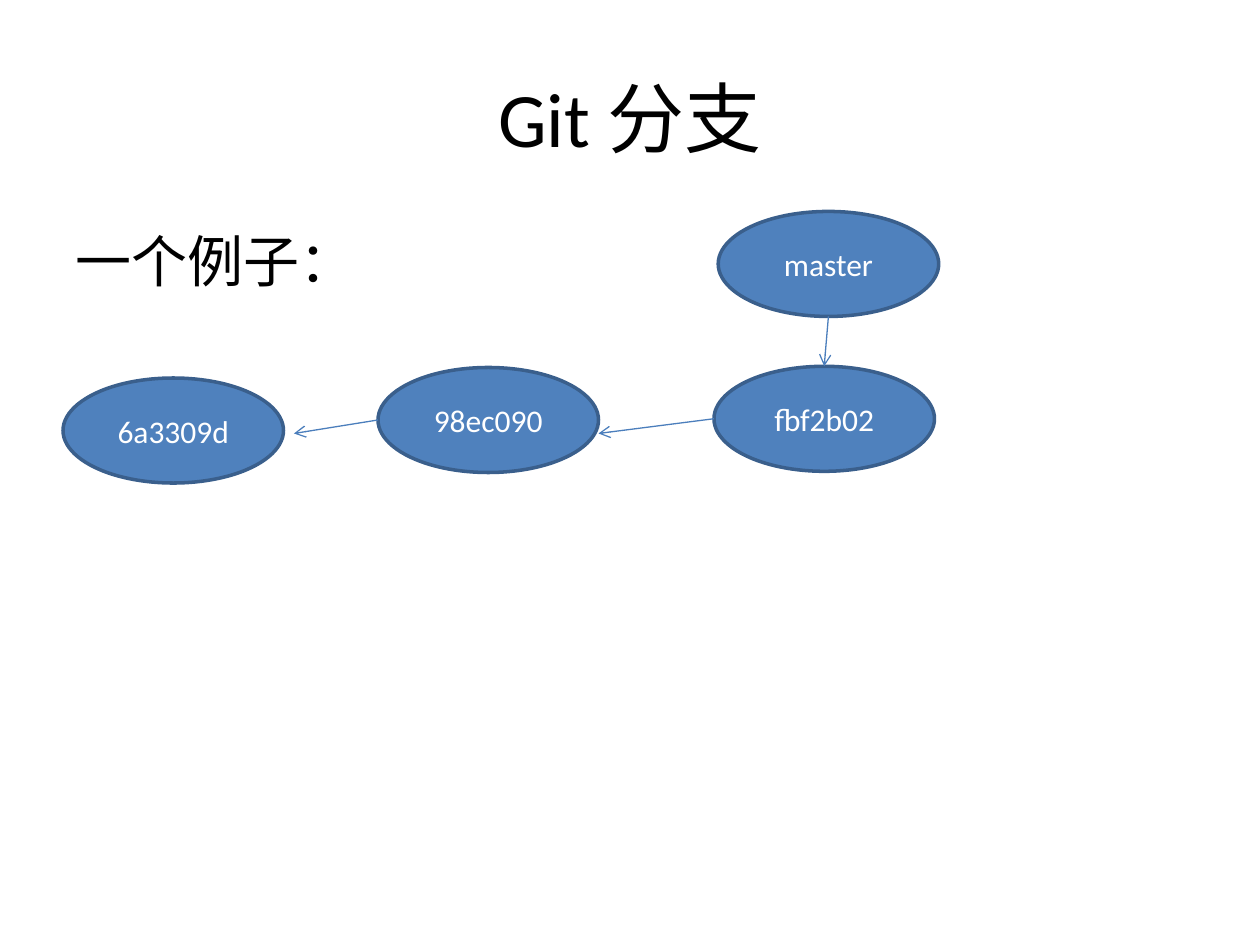
from dataclasses import dataclass

from lxml import etree
from pptx import Presentation
from pptx import util as u
from pptx.dml.color import RGBColor
from pptx.enum import shapes, text
from pptx.oxml import ns


@dataclass(frozen=True)
class Theme:
    font: str = "Calibri"
    ink: str = "000000"
    node_fill: str = "4F81BD"
    node_line: str = "3A5F8C"
    node_text: str = "FFFFFF"
    arrow: str = "4B7EBC"
    title_size: int = 44
    body_size: int = 32
    node_size: int = 18


THEME = Theme()
NODE_WIDTH, NODE_HEIGHT = 126, 60


def write(frame, wording, *, size, color=THEME.ink,
          align=text.PP_ALIGN.LEFT, anchor=text.MSO_ANCHOR.TOP):
    frame.word_wrap = True
    frame.vertical_anchor = anchor
    paragraph = frame.paragraphs[0]
    paragraph.alignment = align
    run = paragraph.add_run()
    run.text = wording
    run.font.name = THEME.font
    run.font.size = u.Pt(size)
    run.font.color.rgb = RGBColor.from_string(color)


def add_text(slide, wording, left, top, width, height, **style):
    box = slide.shapes.add_textbox(*map(u.Pt, (left, top, width, height)))
    write(box.text_frame, wording, **style)


def add_node(slide, label, left, top):
    node = slide.shapes.add_shape(
        shapes.MSO_SHAPE.OVAL,
        *map(u.Pt, (left, top, NODE_WIDTH, NODE_HEIGHT)))
    node.shadow.inherit = False
    node.fill.solid()
    node.fill.fore_color.rgb = RGBColor.from_string(THEME.node_fill)
    node.line.color.rgb = RGBColor.from_string(THEME.node_line)
    node.line.width = u.Pt(2)
    write(node.text_frame, label, size=THEME.node_size, color=THEME.node_text,
          align=text.PP_ALIGN.CENTER, anchor=text.MSO_ANCHOR.MIDDLE)


def add_arrow(slide, start, end):
    arrow = slide.shapes.add_connector(
        shapes.MSO_CONNECTOR.STRAIGHT, *map(u.Pt, (*start, *end)))
    arrow.line.color.rgb = RGBColor.from_string(THEME.arrow)
    arrow.line.width = u.Pt(0.75)
    etree.SubElement(arrow.line._get_or_add_ln(), ns.qn("a:tailEnd"), type="arrow")
    etree.SubElement(arrow._element.spPr, ns.qn("a:effectLst"))


def main():
    deck = Presentation()
    deck.slide_width, deck.slide_height = u.Pt(720), u.Pt(540)
    slide = deck.slides.add_slide(deck.slide_layouts[6])

    add_text(slide, "Git 分支", 36, 21.6, 648, 90, size=THEME.title_size,
             align=text.PP_ALIGN.CENTER, anchor=text.MSO_ANCHOR.MIDDLE)
    add_text(slide, "一个例子：", 36, 126, 648, 356.4, size=THEME.body_size)

    nodes = {
        "98ec090": (216, 210),
        "master": (410.4, 120.8),
        "fbf2b02": (408, 209.3),
        "6a3309d": (36, 216),
    }
    for label, (left, top) in nodes.items():
        add_node(slide, label, left, top)

    def anchor(label, across, down):
        """Point on a node, given as fractions of its width and height."""
        left, top = nodes[label]
        return left + across * NODE_WIDTH, top + down * NODE_HEIGHT

    add_arrow(slide, anchor("master", 0.5, 1), anchor("fbf2b02", 0.5, 0))
    parent_arrow_y = 247.7
    add_arrow(slide, anchor("fbf2b02", 0, 0.5), (342, parent_arrow_y))
    add_arrow(slide, anchor("98ec090", 0, 0.5), (168, parent_arrow_y))

    deck.save("out.pptx")


if __name__ == "__main__":
    main()
